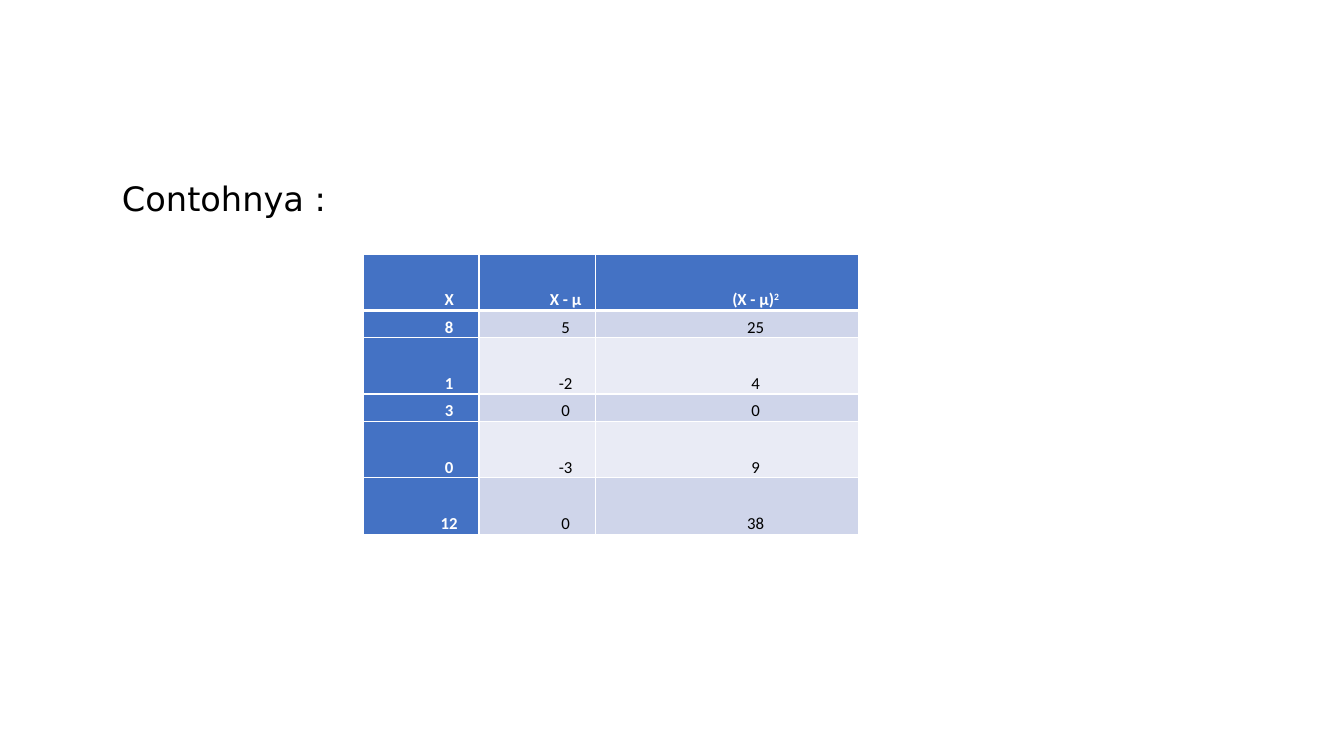
from dataclasses import dataclass

from lxml.etree import SubElement
from pptx import Presentation
from pptx.dml.color import RGBColor as RGB
from pptx.enum.text import MSO_ANCHOR as Anchor, MSO_AUTO_SIZE as AutoSize, PP_ALIGN as Align
from pptx.oxml.ns import qn
from pptx.util import Inches, Pt

# Content: a tuple holds a base and its superscript
HEADING = "Contohnya :"
DEVIATIONS = [
    ["X", "X - µ", ("(X - µ)", "2")],
    ["8", "5", "25"],
    ["1", "-2", "4"],
    ["3", "0", "0"],
    ["0", "-3", "9"],
    ["12", "0", "38"],
]
COLUMN_WIDTHS = [1.15, 1.16, 2.61]
TALL, SHORT = 0.56, 0.27
ROW_HEIGHTS = [TALL, SHORT, TALL, SHORT, TALL, TALL]
FIRST_LINE_INDENT = 0.56


@dataclass(frozen=True)
class Theme:
    heading_font: str = "DejaVu Sans"
    table_font: str = "Calibri"
    heading_size: float = 24
    table_size: float = 12
    line_spacing: float = 16.5
    text: str = "000000"
    accent: str = "4472C4"
    accent_text: str = "FFFFFF"
    bands: tuple = ("E9EBF5", "CFD5EA")
    border: str = "FFFFFF"
    thin: float = 1
    thick: float = 3


THEME = Theme()


def indent_first_line(paragraph):
    properties = paragraph._p.get_or_add_pPr()
    properties.set("marL", "0")
    properties.set("indent", str(Inches(FIRST_LINE_INDENT)))


def style_font(font, name, size, color, bold=False):
    font.name, font.size, font.bold = name, Pt(size), bold
    font.color.rgb = RGB.from_string(color)


def add_borders(cell, is_header):
    widths = {"a:lnL": THEME.thin, "a:lnR": THEME.thin}
    if is_header:
        widths["a:lnT"] = THEME.thin
    widths["a:lnB"] = THEME.thick if is_header else THEME.thin
    properties = cell._tc.get_or_add_tcPr()
    for side, width in widths.items():
        line = SubElement(properties, qn(side), w=str(Pt(width)))
        fill = SubElement(line, qn("a:solidFill"))
        SubElement(fill, qn("a:srgbClr"), val=THEME.border)


def fill_cell(cell, content, row, column):
    is_header = row == 0
    accented = is_header or column == 0
    add_borders(cell, is_header)
    cell.fill.solid()
    cell.fill.fore_color.rgb = RGB.from_string(THEME.accent if accented else THEME.bands[row % 2])
    cell.vertical_anchor = Anchor.BOTTOM
    cell.margin_left = cell.margin_right = Inches(0.07)
    cell.margin_top = cell.margin_bottom = 0

    paragraph = cell.text_frame.paragraphs[0]
    base, *superscripts = content if isinstance(content, tuple) else (content,)
    paragraph.add_run().text = base
    for superscript in superscripts:
        raised = paragraph.add_run()
        raised.text = superscript
        raised._r.get_or_add_rPr().set("baseline", "30000")
    indent_first_line(paragraph)
    paragraph.alignment = Align.CENTER
    paragraph.line_spacing = Pt(THEME.line_spacing)
    style_font(paragraph.font, THEME.table_font, THEME.table_size,
               THEME.accent_text if accented else THEME.text, accented)
    for run in paragraph.runs:
        style_font(run.font, THEME.table_font, THEME.table_size,
                   THEME.accent_text if accented else THEME.text, accented)


def main():
    deck = Presentation()
    deck.slide_width, deck.slide_height = Inches(13.33), Inches(7.5)
    slide = deck.slides.add_slide(deck.slide_layouts[5])

    # Heading
    heading = slide.shapes.title
    heading.left, heading.top = Inches(0.55), Inches(1.71)
    heading.width, heading.height = Inches(12.2), Inches(0.51)
    frame = heading.text_frame
    frame.text = HEADING
    frame.auto_size = AutoSize.NONE
    frame.vertical_anchor = Anchor.MIDDLE
    heading_line = frame.paragraphs[0]
    indent_first_line(heading_line)
    heading_line.alignment = Align.LEFT
    style_font(heading_line.font, THEME.heading_font, THEME.heading_size, THEME.text)

    # Table of deviations
    table = slide.shapes.add_table(
        len(DEVIATIONS), len(COLUMN_WIDTHS), Inches(3.6), Inches(2.52),
        Inches(sum(COLUMN_WIDTHS)), Inches(sum(ROW_HEIGHTS))).table
    table.first_col = True
    for column, width in zip(table.columns, COLUMN_WIDTHS):
        column.width = Inches(width)
    for row, height in zip(table.rows, ROW_HEIGHTS):
        row.height = Inches(height)
    for row, values in enumerate(DEVIATIONS):
        for column, content in enumerate(values):
            fill_cell(table.cell(row, column), content, row, column)

    deck.save("out.pptx")


if __name__ == "__main__":
    main()
